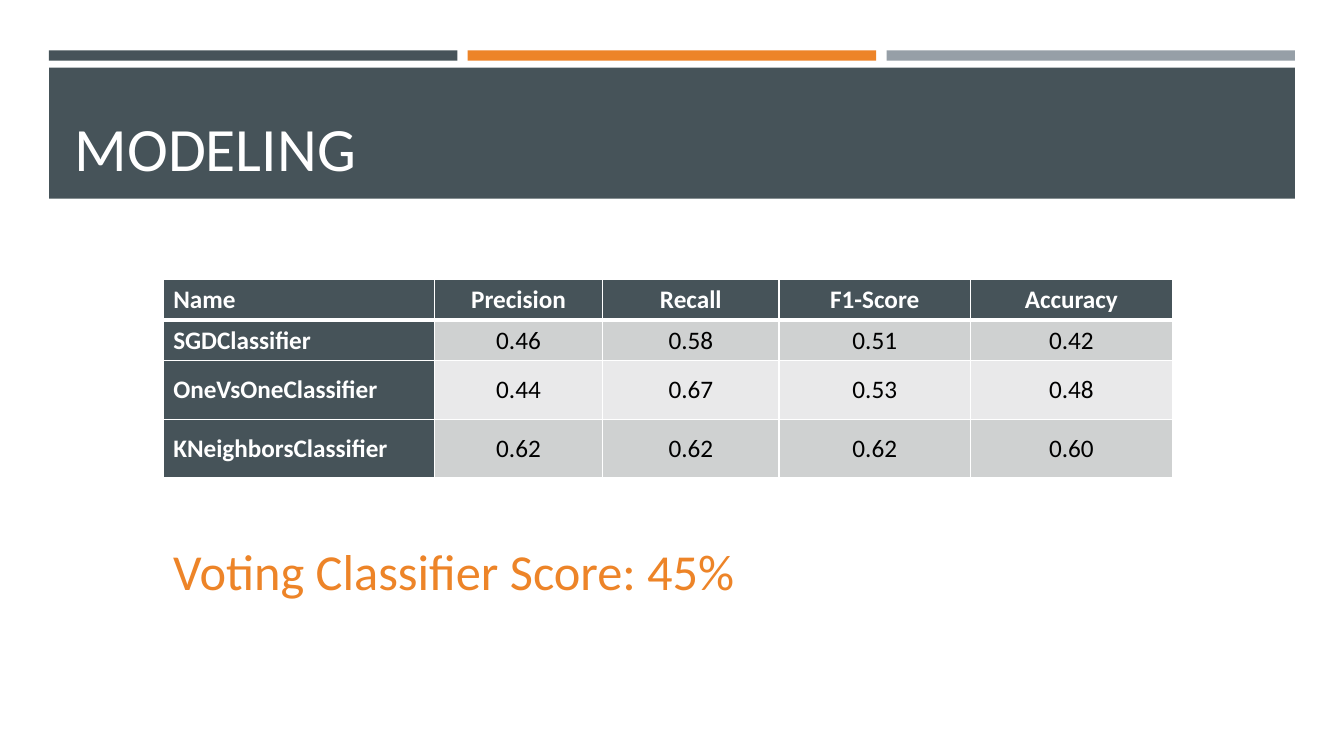
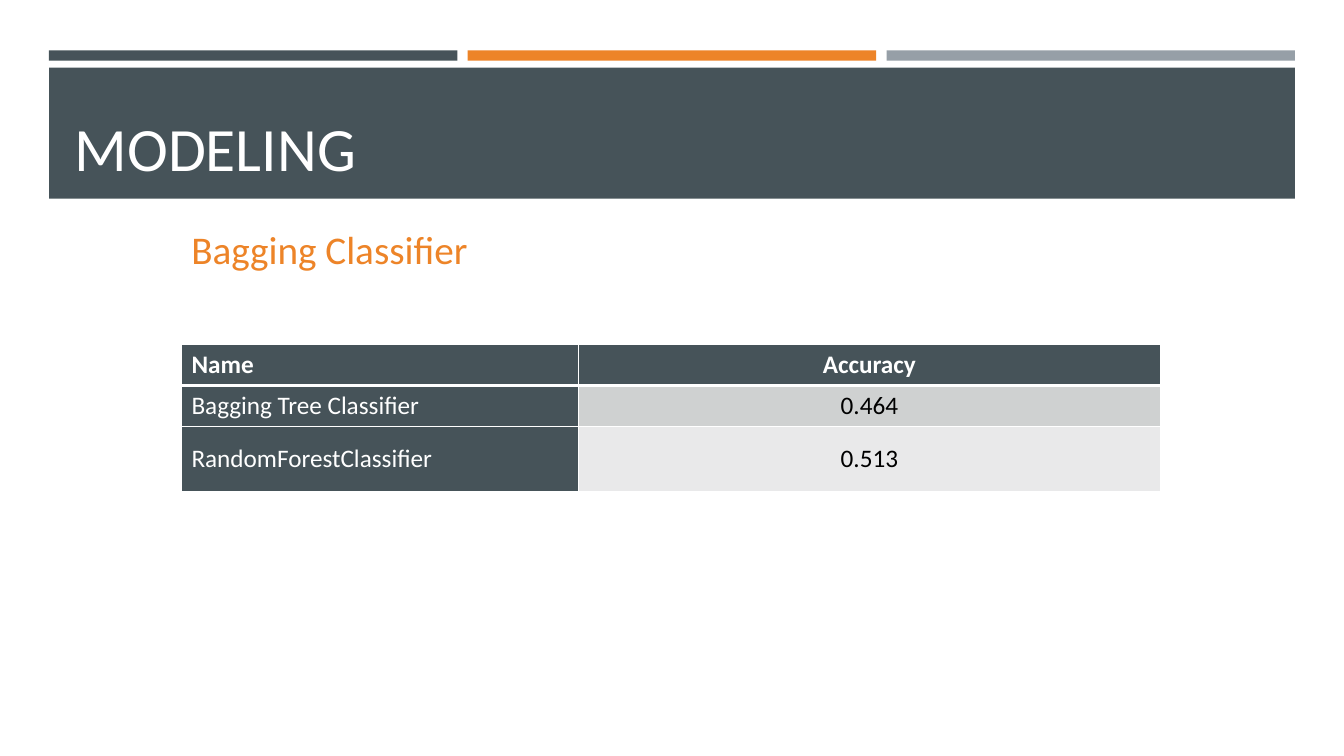
from lxml import etree
from pptx import Presentation
from pptx.dml.color import RGBColor
from pptx.enum.shapes import MSO_SHAPE
from pptx.enum.text import MSO_ANCHOR, MSO_AUTO_SIZE, PP_ALIGN
from pptx.oxml.ns import qn
from pptx.util import Pt

RECT = MSO_SHAPE.RECTANGLE
LOW, MID = MSO_ANCHOR.BOTTOM, MSO_ANCHOR.MIDDLE
FIXED = MSO_AUTO_SIZE.NONE
LEFT, CENTER = PP_ALIGN.LEFT, PP_ALIGN.CENTER
FONT = "Calibri"
HUES = {"slate": "465359", "orange": "ED8428", "gray": "969FA7",
        "odd": "CFD1D1", "even": "E9E9EA", "white": "FFFFFF", "black": "000000"}


def write(frame, text, size=18, hue="white", bold=False, align=LEFT, space=None):
    para = frame.paragraphs[0]
    para.alignment = align
    para.line_spacing = space
    run = para.add_run()
    run.text = text
    run.font.name = FONT
    run.font.size = Pt(size)
    run.font.bold = bold
    run.font.color.rgb = RGBColor.from_string(HUES[hue])


def edge(cell, row):
    props = cell._tc.get_or_add_tcPr()
    for i, side in enumerate(("lnL", "lnR", "lnT", "lnB")):
        thick = (row, side) in ((0, "lnB"), (1, "lnT"))
        line = etree.Element(qn("a:" + side), w=str(Pt(3 if thick else 1)))
        fill = etree.SubElement(line, qn("a:solidFill"))
        etree.SubElement(fill, qn("a:srgbClr"), val=HUES["white"])
        props.insert(i, line)


deck = Presentation()
deck.slide_width, deck.slide_height = Pt(960), Pt(540)
layout = deck.slide_layouts[5]

head = layout.placeholders[0]
head.left, head.top, head.width, head.height = Pt(46.1), Pt(55.4), Pt(868.3), Pt(79.9)

pages = [
    {"note": "Voting Classifier Score: 45%", "size": 36, "spot": (116.6, 347),
     "grid": (116.6, 199.4), "bold": True,
     "cols": [193.7, 120.2, 126, 136.8, 144], "rows": [29.2, 29.2, 41.8, 41.8],
     "data": [["Name", "Precision", "Recall", "F1-Score", "Accuracy"],
              ["SGDClassifier", "0.46", "0.58", "0.51", "0.42"],
              ["OneVsOneClassifier", "0.44", "0.67", "0.53", "0.48"],
              ["KNeighborsClassifier", "0.62", "0.62", "0.62", "0.60"]]},
    {"note": "Bagging Classifier", "size": 28, "spot": (129.6, 112.3),
     "grid": (129.6, 246.2), "bold": False,
     "cols": [283.7, 415.4], "rows": [29.2, 29.2, 46.4],
     "data": [["Name", "Accuracy"],
              ["Bagging Tree Classifier", "0.464"],
              ["RandomForestClassifier", "0.513"]]},
]
slides = [deck.slides.add_slide(layout) for page in pages]

edge_x, span, gap = 35, 890, 7.4
wide = (span - 2 * gap) / 3
bands = [(edge_x + i * (wide + gap), 36, wide, 7.4, hue)
         for i, hue in enumerate(("slate", "orange", "gray"))]
bands.append((edge_x, 48.4, span, 93.6, "slate"))
for i, (x, y, w, h, hue) in enumerate(bands):
    band = slides[0].shapes.add_shape(RECT, Pt(x), Pt(y), Pt(w), Pt(h))
    band.shadow.inherit = False
    band.fill.solid()
    band.fill.fore_color.rgb = RGBColor.from_string(HUES[hue])
    band.line.fill.background()
    band.element.nvSpPr.cNvPr.id = 20 + i
    layout.shapes.element.insert(2 + i, band.element)

for slide, page in zip(slides, pages):
    title = slide.shapes.title.text_frame
    title.auto_size = FIXED
    title.vertical_anchor = LOW
    write(title, "MODELING", size=44, space=0.9)

    x, y = page["spot"]
    note = slide.shapes.add_textbox(Pt(x), Pt(y), Pt(720), Pt(86.4)).text_frame
    note.word_wrap = True
    note.vertical_anchor = LOW
    write(note, page["note"], size=page["size"], hue="orange", space=0.9)

    x, y = page["grid"]
    cols, rows = page["cols"], page["rows"]
    table = slide.shapes.add_table(len(rows), len(cols), Pt(x), Pt(y),
                                   Pt(sum(cols)), Pt(sum(rows))).table
    for col, w in zip(table.columns, cols):
        col.width = Pt(w)
    for row, h in zip(table.rows, rows):
        row.height = Pt(h)
    for r, line in enumerate(page["data"]):
        for c, text in enumerate(line):
            cell = table.cell(r, c)
            dark = r == 0 or c == 0
            fill = "slate" if dark else "odd" if r % 2 else "even"
            cell.fill.solid()
            cell.fill.fore_color.rgb = RGBColor.from_string(HUES[fill])
            cell.vertical_anchor = MID
            edge(cell, r)
            write(cell.text_frame, text, hue="white" if dark else "black",
                  bold=r == 0 or (c == 0 and page["bold"]),
                  align=CENTER if c else LEFT)

deck.save("out.pptx")
